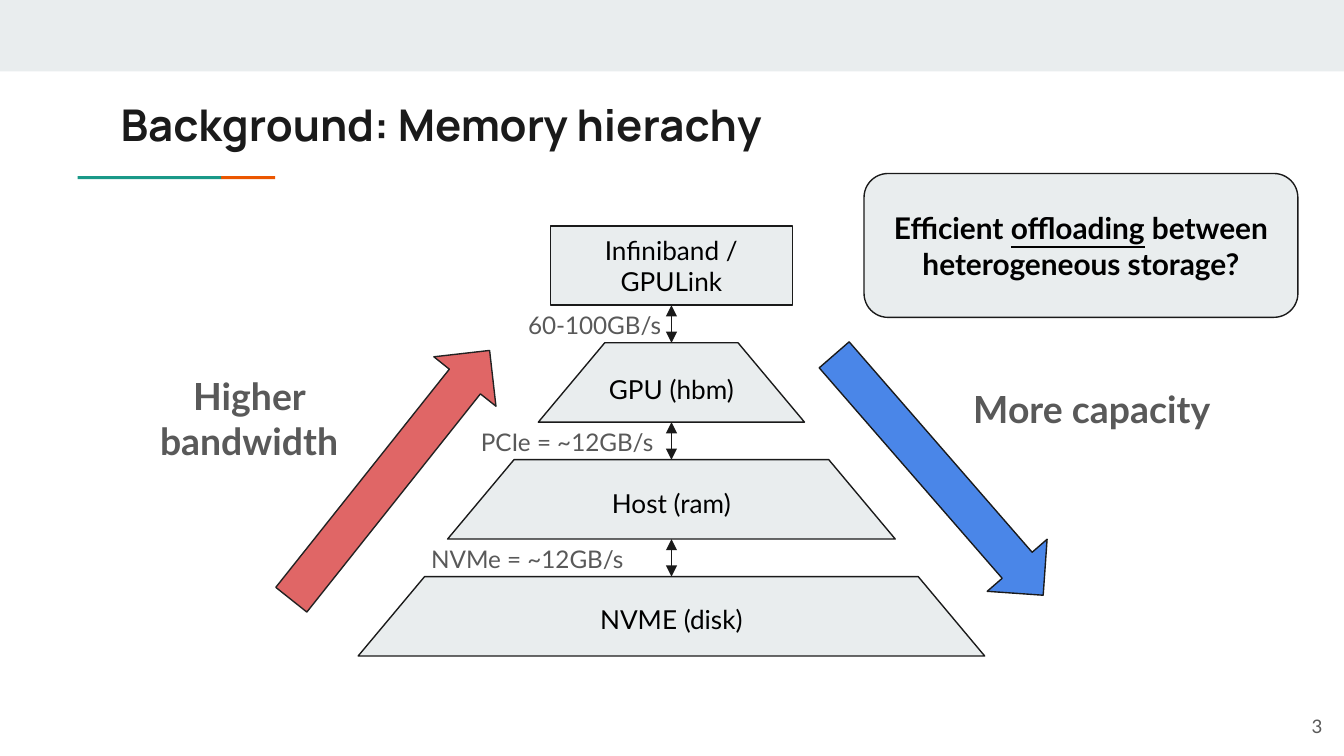
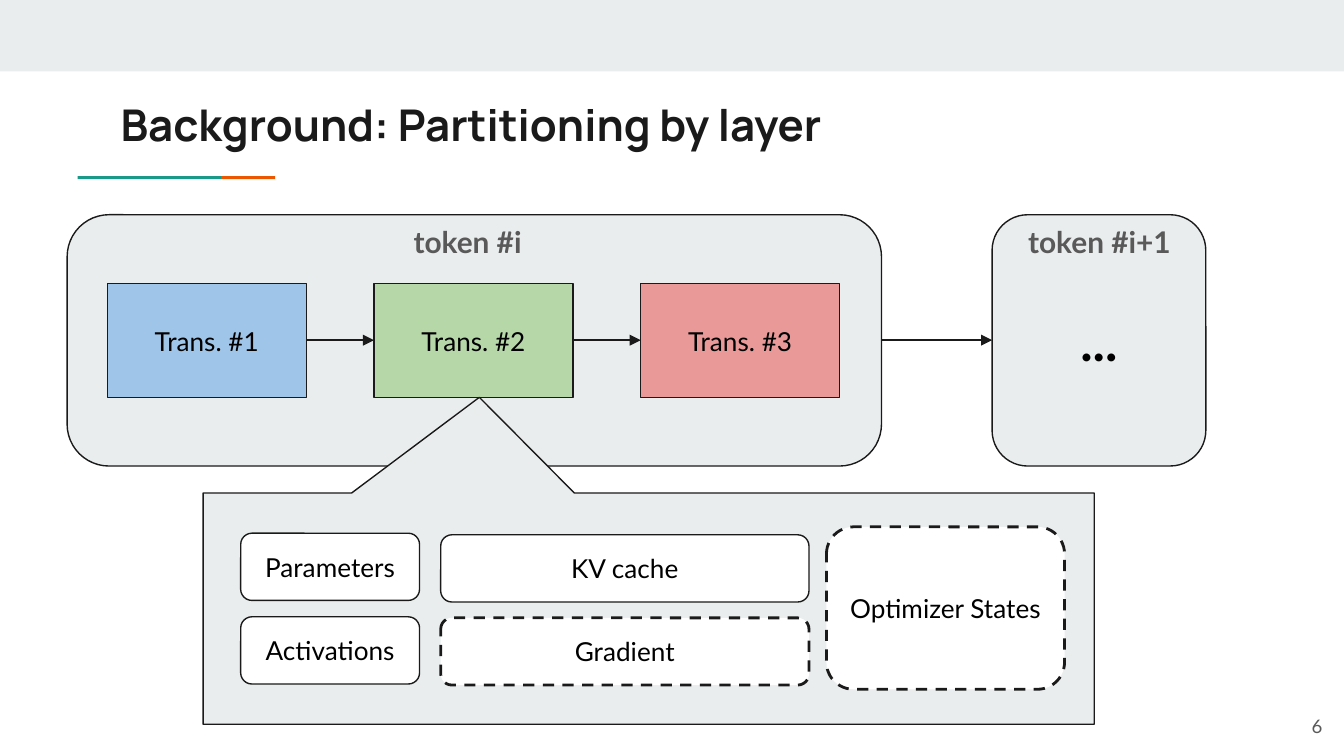
"""Builds two background slides: the memory hierarchy and partitioning by layer."""
import pptx
import pptx.dml.color
import pptx.enum.dml
import pptx.enum.shapes
import pptx.enum.text
import pptx.oxml
import pptx.oxml.ns
import pptx.util

Cm = pptx.util.Cm
SHAPES = pptx.enum.shapes.MSO_SHAPE
ALIGN = pptx.enum.text.PP_ALIGN
ANCHOR = pptx.enum.text.MSO_ANCHOR

COLORS = {
    "band": "E9EDEE", "ink": "1A1A1A", "black": "000000", "gray": "595959",
    "white": "FFFFFF", "teal": "1A9988", "orange": "EB5600",
    "red": "E06666", "red_outline": "222222", "blue": "4A86E8",
    "light_blue": "9FC5E8", "light_green": "B6D7A8", "light_red": "EA9999",
}
SLIDE_SIZE = (25.4, 14.29)
ACCENTS = [("orange", 4.18, 1.02), ("teal", 1.47, 2.71)]

TIERS = [
    ("Infiniband / GPULink", 4.57, SHAPES.RECTANGLE),
    ("GPU (hbm)", 5.03, SHAPES.TRAPEZOID),
    ("Host (ram)", 8.46, SHAPES.TRAPEZOID),
    ("NVME (disk)", 11.84, SHAPES.TRAPEZOID),
]
LINKS = [("60-100GB/s", 9.73, 3.68), ("PCIe = ~12GB/s", 8.84, 3.76),
         ("NVMe = ~12GB/s", 7.9, 4.24)]
TIER_CENTER, TIER_TOP, TIER_HEIGHT, TIER_PITCH = 12.69, 4.27, 1.5, 2.21
TREND_ARROWS = [(4.37, 308.5, "red", "red_outline"), (14.73, 49, "blue", "ink")]
TREND_LABELS = [("Higher bandwidth", (2.26, 7.34, 4.9, 1.14)),
                ("More capacity", (17.88, 6.76, 5.51, 1.93))]
QUESTION = [("Efficient ", False), ("offloading", True),
            (" between heterogeneous storage?", False)]

TOKENS = [("token #i", 1.27, 15.39, 6.48, ""), ("token #i+1", 18.75, 4.04, 18.42, "...")]
TOKEN_TOP, TOKEN_HEIGHT = 4.06, 4.75
LAYERS = [("Trans. #1", "light_blue"), ("Trans. #2", "light_green"),
          ("Trans. #3", "light_red")]
LAYER_LEFT, LAYER_PITCH, LAYER_WIDTH = 2.03, 5.04, 3.76
FLOW_Y = 6.43
STATES = [
    ("Parameters", (4.55, 10.08, 3.38, 1.27), False),
    ("Activations", (4.55, 11.66, 3.38, 1.27), False),
    ("Optimizer States", (15.62, 9.96, 4.5, 3.07), True),
    ("KV cache", (8.33, 10.11, 6.96, 1.27), False),
    ("Gradient", (8.33, 11.68, 6.96, 1.27), True),
]


def rgb(name):
    return pptx.dml.color.RGBColor.from_string(COLORS[name])


def write(shape, text, size=14, color="black", bold=False, align=ALIGN.CENTER,
          anchor=ANCHOR.MIDDLE, font="Lato"):
    frame = shape.text_frame
    frame.word_wrap = True
    frame.vertical_anchor = anchor
    frame.margin_left = frame.margin_right = Cm(0.25)
    frame.margin_top = frame.margin_bottom = Cm(0.25)
    paragraph = frame.paragraphs[0]
    paragraph.alignment = align
    for words, underlined in [(text, False)] if isinstance(text, str) else text:
        run = paragraph.add_run()
        run.text = words
        run.font.name = font
        run.font.size = pptx.util.Pt(size)
        run.font.bold = bold
        run.font.underline = underlined
        run.font.color.rgb = rgb(color)


def add_text(slide, box, text, **style):
    write(slide.shapes.add_textbox(*map(Cm, box)), text, **style)


def add_box(slide, kind, box, fill="band", outline="ink", text="", dashed=False,
            adjustments=(), **style):
    shape = slide.shapes.add_shape(kind, *map(Cm, box))
    shape.shadow.inherit = False
    shape.fill.solid()
    shape.fill.fore_color.rgb = rgb(fill)
    if outline:
        shape.line.color.rgb = rgb(outline)
        shape.line.width = pptx.util.Pt(1.5 if dashed else 0.75)
    else:
        shape.line.fill.background()
    if dashed:
        shape.line.dash_style = pptx.enum.dml.MSO_LINE.DASH
    for index, value in enumerate(adjustments):
        shape.adjustments[index] = value
    if text:
        write(shape, text, **style)
    return shape


def add_arrow(slide, start, end, ends=("tailEnd",)):
    connector = slide.shapes.add_connector(
        pptx.enum.shapes.MSO_CONNECTOR.STRAIGHT, *map(Cm, start + end))
    connector.line.color.rgb = rgb("ink")
    connector.line.width = pptx.util.Pt(0.75)
    properties = connector.element.spPr
    line = properties.find(pptx.oxml.ns.qn("a:ln"))
    namespace = pptx.oxml.ns.nsdecls("a")
    for tag in ends:
        line.append(pptx.oxml.parse_xml(f'<a:{tag} {namespace} type="triangle"/>'))
    properties.append(pptx.oxml.parse_xml(f"<a:effectLst {namespace}/>"))


def start_slide(presentation, title, number):
    slide = presentation.slides.add_slide(presentation.slide_layouts[6])
    add_box(slide, SHAPES.RECTANGLE, (0, 0, SLIDE_SIZE[0], 1.35), outline=None)
    for color, left, width in ACCENTS:
        add_box(slide, SHAPES.RECTANGLE, (left, 3.33, width, 0.06), color, None)
    add_text(slide, (2.03, 1.6, 21.36, 1.5), title, size=23.4, color="ink", bold=True,
             align=ALIGN.LEFT, anchor=ANCHOR.TOP, font="Manrope")
    add_text(slide, (23.72, 13.18, 1.52, 1.09), number, size=10, color="gray",
             align=ALIGN.RIGHT)
    return slide


def build_hierarchy(presentation):
    slide = start_slide(presentation, "Background: Memory hierachy", "3")
    for index, (name, width, kind) in enumerate(TIERS):
        box = (TIER_CENTER - width / 2, TIER_TOP + index * TIER_PITCH, width, TIER_HEIGHT)
        add_box(slide, kind, box, text=name,
                adjustments=(0.837,) if kind == SHAPES.TRAPEZOID else ())
    for index, (speed, left, width) in enumerate(LINKS):
        top = TIER_TOP + index * TIER_PITCH
        add_arrow(slide, (TIER_CENTER, top + TIER_PITCH), (TIER_CENTER, top + TIER_HEIGHT),
                  ("headEnd", "tailEnd"))
        add_text(slide, (left, top + 1.34, width, 0.86), speed, size=13, color="gray",
                 align=ALIGN.LEFT, anchor=ANCHOR.TOP)
    for left, angle, fill, outline in TREND_ARROWS:
        arrow = add_box(slide, SHAPES.RIGHT_ARROW, (left, 8.23, 6.02, 1.5), fill, outline)
        arrow.rotation = angle
    for label, box in TREND_LABELS:
        add_text(slide, box, label, size=20, color="gray", bold=True)
    add_box(slide, SHAPES.ROUNDED_RECTANGLE, (16.33, 3.28, 8.2, 2.72), text=QUESTION,
            size=16, bold=True)


def build_partitioning(presentation):
    slide = start_slide(presentation, "Background: Partitioning by layer", "6")
    for label, left, width, label_left, text in TOKENS:
        add_box(slide, SHAPES.ROUNDED_RECTANGLE, (left, TOKEN_TOP, width, TOKEN_HEIGHT),
                text=text, size=28, bold=True)
        add_text(slide, (label_left, 4.17, 4.72, 0.79), label, size=16, color="gray",
                 bold=True)
    for index, (name, color) in enumerate(LAYERS):
        left = LAYER_LEFT + index * LAYER_PITCH
        add_box(slide, SHAPES.RECTANGLE, (left, 5.36, LAYER_WIDTH, 2.16), color, text=name)
        if index:
            add_arrow(slide, (left - LAYER_PITCH + LAYER_WIDTH, FLOW_Y), (left, FLOW_Y))
    add_arrow(slide, (TOKENS[0][1] + TOKENS[0][2], FLOW_Y), (TOKENS[1][1], FLOW_Y))
    add_box(slide, SHAPES.ROUNDED_RECTANGULAR_CALLOUT, (3.84, 9.32, 16.84, 4.37),
            adjustments=(-0.19, -0.914, 0))
    for name, box, dashed in STATES:
        add_box(slide, SHAPES.ROUNDED_RECTANGLE, box, "white", text=name, dashed=dashed)


def main():
    presentation = pptx.Presentation()
    presentation.slide_width, presentation.slide_height = map(Cm, SLIDE_SIZE)
    build_hierarchy(presentation)
    build_partitioning(presentation)
    presentation.save("out.pptx")


if __name__ == "__main__":
    main()
